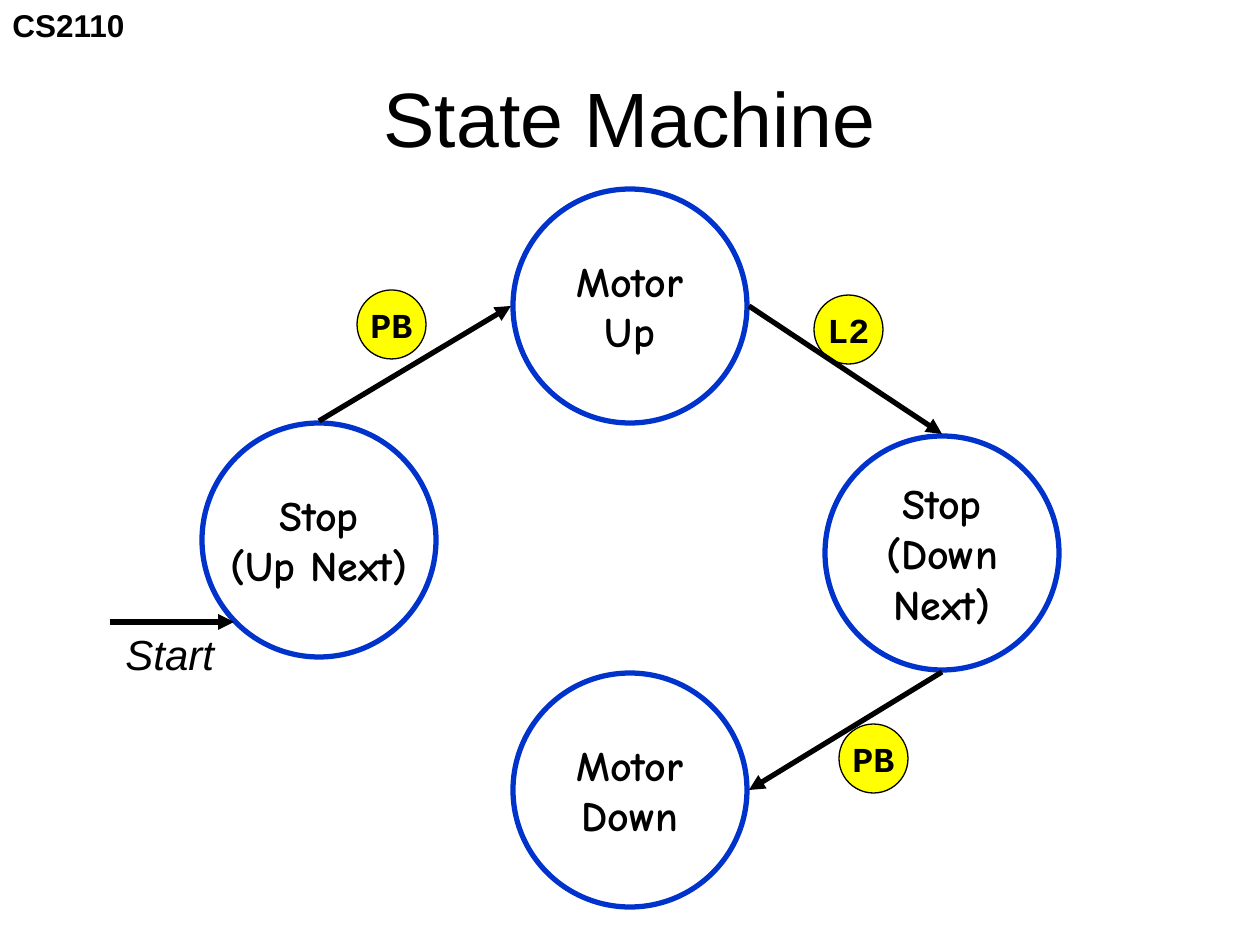
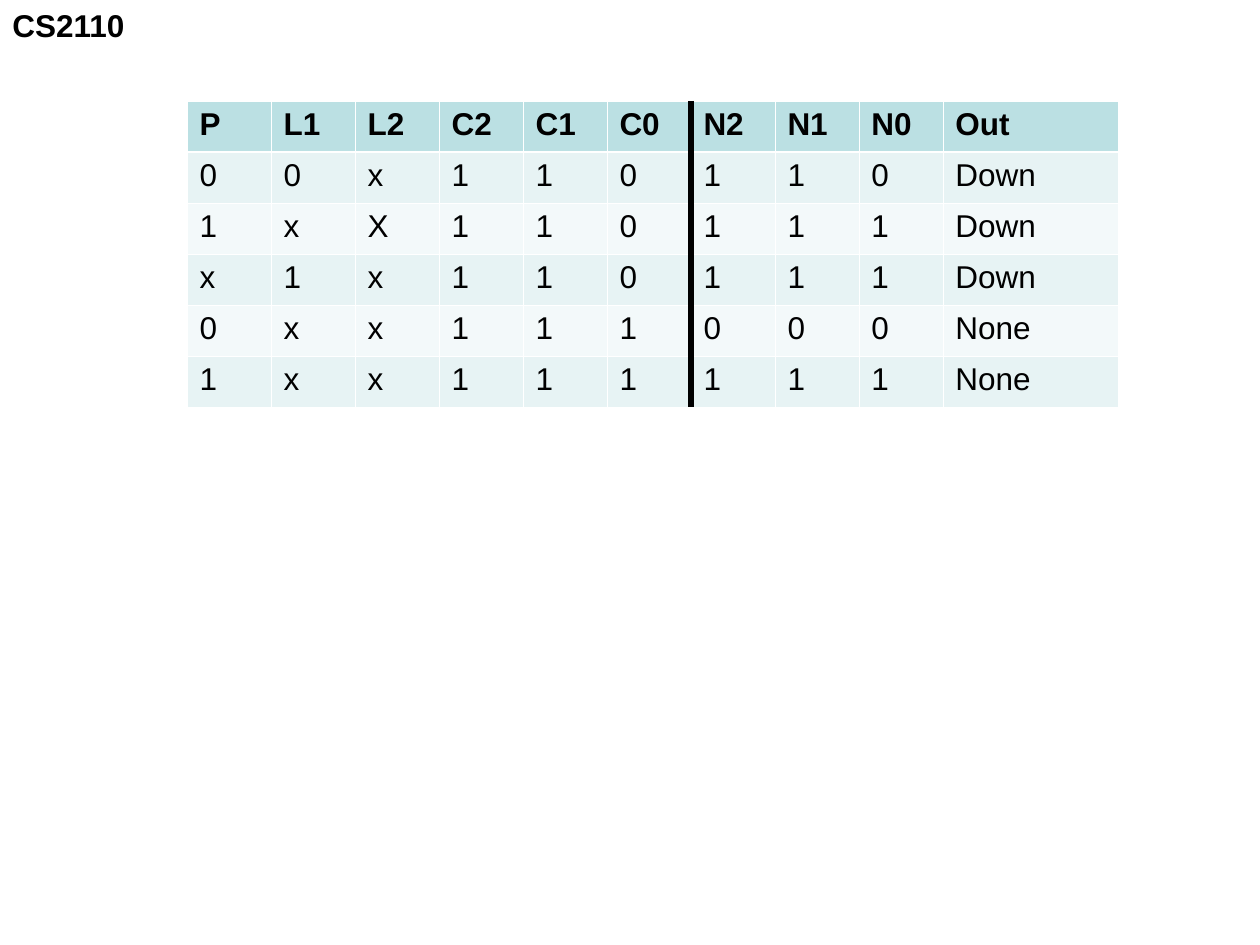
from dataclasses import dataclass
from typing import NamedTuple

from lxml.etree import SubElement
from pptx import Presentation
from pptx.dml.color import RGBColor
from pptx.enum.shapes import MSO_CONNECTOR, MSO_SHAPE
from pptx.enum.text import MSO_ANCHOR, MSO_AUTO_SIZE, PP_ALIGN
from pptx.oxml.ns import qn
from pptx.slide import Slide
from pptx.table import _Cell
from pptx.text.text import TextFrame
from pptx.util import Emu, Pt

PX_PER_INCH = 126


def px(length: int) -> Emu:
    return Emu(round(length * 914400 / PX_PER_INCH))


class TextStyle(NamedTuple):
    font: str
    size: int
    bold: bool = False
    italic: bool = False


@dataclass(frozen=True)
class Theme:
    ink: str = "000000"
    white: str = "FFFFFF"
    state_outline: str = "0033CC"
    signal_fill: str = "FFFF00"
    header_fill: str = "BBE0E3"
    band_fills: tuple[str, str] = ("E7F3F4", "F3F9FA")
    title: TextStyle = TextStyle("Arial", 44)
    course: TextStyle = TextStyle("Arial", 18, bold=True)
    state: TextStyle = TextStyle("Comic Neue", 24, bold=True)
    signal: TextStyle = TextStyle("Courier New", 20, bold=True)
    start: TextStyle = TextStyle("Arial", 24, italic=True)
    header: TextStyle = TextStyle("Arial", 18, bold=True)
    entry: TextStyle = TextStyle("Arial", 18)
    heavy_line: float = 3
    thin_line: float = 0.75
    cell_line: float = 0.45
    header_line: float = 1.47


THEME = Theme()


class Point(NamedTuple):
    x: int
    y: int


class Box(NamedTuple):
    left: int
    top: int
    width: int
    height: int

    def emu(self) -> list[Emu]:
        return [px(length) for length in self]


@dataclass(frozen=True)
class Disc:
    """A labelled circle; its anchors lie just outside the outline."""
    label: str
    left: int
    top: int
    size: int
    style: TextStyle
    outline: str
    outline_width: float
    fill: str | None = None

    def anchor(self, side: str) -> Point:
        gap, half = 2, self.size // 2
        return {
            "left": Point(self.left - gap, self.top + half),
            "right": Point(self.left + self.size + gap, self.top + half),
            "top": Point(self.left + half, self.top - gap),
            "bottom": Point(self.left + half, self.top + self.size + gap),
        }[side]


def state(label: str, left: int, top: int) -> Disc:
    return Disc(label, left, top, 234, THEME.state, THEME.state_outline, THEME.heavy_line)


def signal(label: str, left: int, top: int) -> Disc:
    return Disc(label, left, top, 69, THEME.signal, THEME.ink, THEME.thin_line, THEME.signal_fill)


MOTOR_UP = state("Motor\nUp", 513, 189)
MOTOR_DOWN = state("Motor\nDown", 513, 673)
STOP_UP_NEXT = state("Stop\n(Up Next)", 202, 423)
STOP_DOWN_NEXT = state("Stop\n(Down\nNext)", 825, 436)
STATES = [MOTOR_UP, MOTOR_DOWN, STOP_UP_NEXT, STOP_DOWN_NEXT]
SIGNALS = [signal("L2", 814, 295), signal("PB", 839, 724), signal("PB", 357, 290)]
TRANSITIONS = [
    (MOTOR_UP.anchor("right"), STOP_DOWN_NEXT.anchor("top")),
    (STOP_DOWN_NEXT.anchor("bottom"), MOTOR_DOWN.anchor("right")),
    (STOP_UP_NEXT.anchor("top"), MOTOR_UP.anchor("left")),
    (Point(110, 622), Point(234, 622)),
]

TRUTH_TABLE = [row.split() for row in (
    "P L1 L2 C2 C1 C0 N2 N1 N0 Out",
    "0 0 x 1 1 0 1 1 0 Down",
    "1 x X 1 1 0 1 1 1 Down",
    "x 1 x 1 1 0 1 1 1 Down",
    "0 x x 1 1 1 0 0 0 None",
    "1 x x 1 1 1 1 1 1 None",
)]
INPUT_COLUMNS = 6
BIT_WIDTH, OUT_WIDTH, ROW_HEIGHT = 84, 176, 51


def format_text(frame: TextFrame, style: TextStyle, align: PP_ALIGN = PP_ALIGN.LEFT) -> None:
    for paragraph in frame.paragraphs:
        paragraph.alignment = align
        for run in paragraph.runs:
            run.font.name = style.font
            run.font.size = Pt(style.size)
            run.font.bold = style.bold
            run.font.italic = style.italic
            run.font.color.rgb = RGBColor.from_string(THEME.ink)


def add_label(slide: Slide, text: str, box: Box, style: TextStyle) -> None:
    frame = slide.shapes.add_textbox(*box.emu()).text_frame
    frame.text = text
    frame.word_wrap = False
    frame.auto_size = MSO_AUTO_SIZE.SHAPE_TO_FIT_TEXT
    format_text(frame, style)


def add_disc(slide: Slide, disc: Disc) -> None:
    box = Box(disc.left, disc.top, disc.size, disc.size)
    circle = slide.shapes.add_shape(MSO_SHAPE.OVAL, *box.emu())
    circle.shadow.inherit = False
    if disc.fill:
        circle.fill.solid()
        circle.fill.fore_color.rgb = RGBColor.from_string(disc.fill)
    else:
        circle.fill.background()
    circle.line.color.rgb = RGBColor.from_string(disc.outline)
    circle.line.width = Pt(disc.outline_width)
    frame = circle.text_frame
    frame.text = disc.label
    frame.word_wrap = False
    frame.vertical_anchor = MSO_ANCHOR.MIDDLE
    format_text(frame, disc.style, PP_ALIGN.CENTER)


def add_line(slide: Slide, start: Point, end: Point, arrow: bool = False) -> None:
    ends = [px(length) for length in (*start, *end)]
    connector = slide.shapes.add_connector(MSO_CONNECTOR.STRAIGHT, *ends)
    connector.line.color.rgb = RGBColor.from_string(THEME.ink)
    connector.line.width = Pt(THEME.heavy_line)
    if arrow:
        SubElement(connector.get_or_add_ln(), qn("a:tailEnd"), type="triangle")
    SubElement(connector.element.spPr, qn("a:effectLst"))


def add_borders(cell: _Cell, row: int) -> None:
    """Draw white cell edges, heavier between the header and the entries."""
    widths = {
        "L": THEME.cell_line,
        "R": THEME.cell_line,
        "T": THEME.header_line if row == 1 else THEME.cell_line,
        "B": THEME.header_line if row == 0 else THEME.cell_line,
    }
    properties = cell._tc.get_or_add_tcPr()
    for side, width in widths.items():
        edge = SubElement(properties, qn(f"a:ln{side}"), w=str(Pt(width)))
        fill = SubElement(edge, qn("a:solidFill"))
        SubElement(fill, qn("a:srgbClr"), val=THEME.white)


def add_truth_table(slide: Slide, left: int, top: int) -> None:
    widths = [BIT_WIDTH] * (len(TRUTH_TABLE[0]) - 1) + [OUT_WIDTH]
    height = ROW_HEIGHT * len(TRUTH_TABLE)
    box = Box(left, top, sum(widths), height)
    table = slide.shapes.add_table(len(TRUTH_TABLE), len(widths), *box.emu()).table
    for column, width in zip(table.columns, widths):
        column.width = px(width)
    for row, entries in enumerate(TRUTH_TABLE):
        table.rows[row].height = px(ROW_HEIGHT)
        fill = THEME.band_fills[(row - 1) % 2] if row else THEME.header_fill
        for column, entry in enumerate(entries):
            cell = table.cell(row, column)
            add_borders(cell, row)
            cell.fill.solid()
            cell.fill.fore_color.rgb = RGBColor.from_string(fill)
            cell.text_frame.text = entry
            format_text(cell.text_frame, THEME.entry if row else THEME.header)
    divider = left + INPUT_COLUMNS * BIT_WIDTH
    add_line(slide, Point(divider, top), Point(divider, top + height))


def add_course_slide(deck: Presentation, layout_name: str) -> Slide:
    slide = deck.slides.add_slide(deck.slide_layouts.get_by_name(layout_name))
    add_label(slide, "CS2110", Box(0, 0, 138, 51), THEME.course)
    return slide


def add_state_machine(deck: Presentation) -> None:
    slide = add_course_slide(deck, "Title Only")
    title = slide.shapes.title
    title.left, title.top, title.width, title.height = Box(63, 38, 1134, 157).emu()
    title.text_frame.text = "State Machine"
    title.text_frame.vertical_anchor = MSO_ANCHOR.MIDDLE
    format_text(title.text_frame, THEME.title, PP_ALIGN.CENTER)
    for disc in SIGNALS + STATES:
        add_disc(slide, disc)
    for start, end in TRANSITIONS:
        add_line(slide, start, end, arrow=True)
    add_label(slide, "Start", Box(113, 622, 118, 63), THEME.start)


def main() -> None:
    deck = Presentation()
    deck.slide_width, deck.slide_height = px(1260), px(945)
    add_state_machine(deck)
    add_truth_table(add_course_slide(deck, "Blank"), 187, 101)
    deck.save("out.pptx")


if __name__ == "__main__":
    main()
